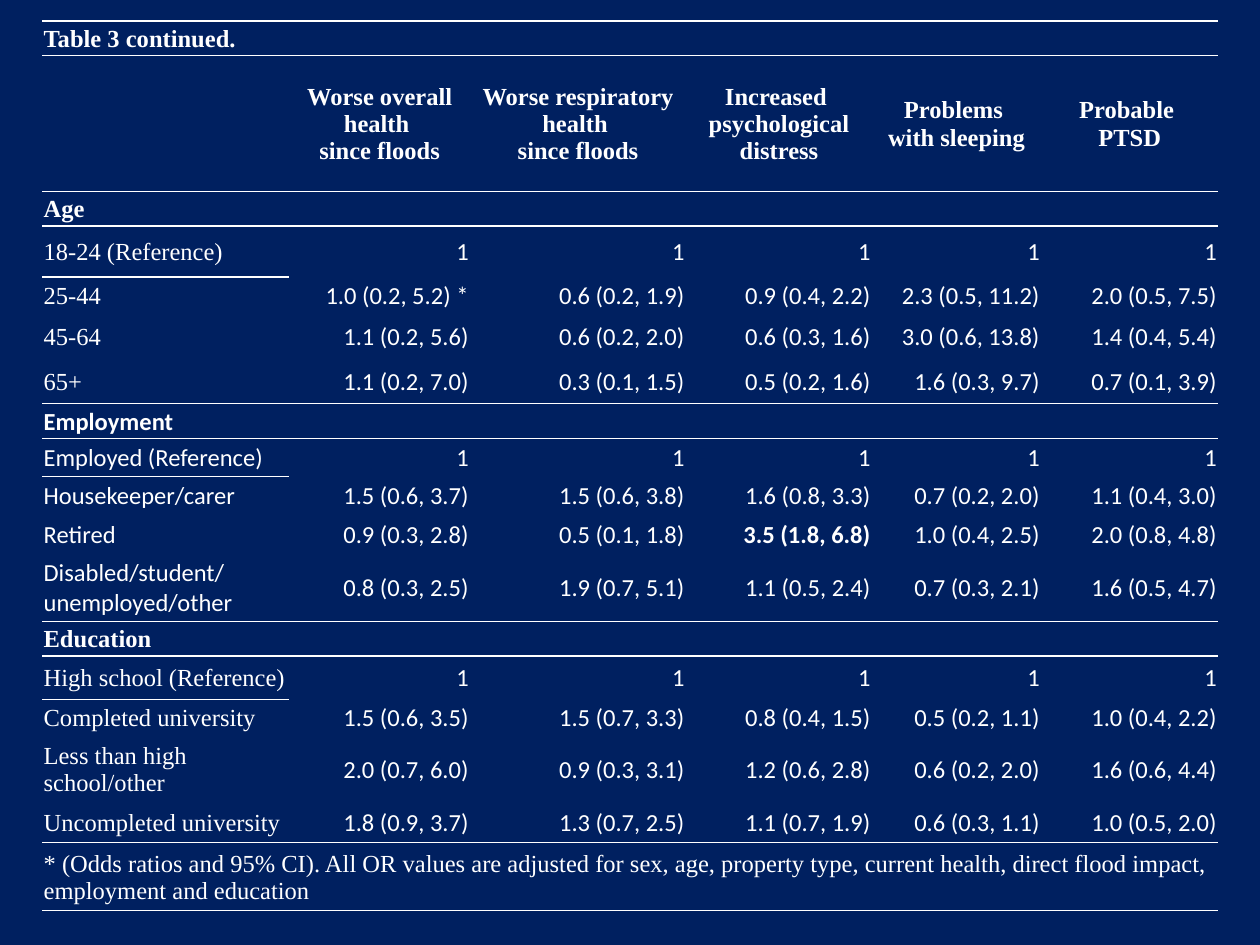
import pptx
import pptx.dml.color
import pptx.enum.text
import pptx.oxml
import pptx.oxml.ns
import pptx.util

Cm = pptx.util.Cm
ALIGN = pptx.enum.text.PP_ALIGN
COLOURS = {"navy": "002060", "white": "FFFFFF"}
SERIF, SANS = "Times New Roman", "Calibri"
NO_STYLE_NO_GRID = "{2D5ABB26-0587-4C30-8999-92F81FD0307C}"

COLUMN_WIDTHS = [4.98, 3.65, 4.35, 3.75, 3.41, 3.57]
ROW_HEIGHTS = [0.7, 2.74, 0.7, 1.03, 0.75, 0.9, 0.9, 0.7, 0.77, 0.76, 0.79, 1.37,
               0.7, 0.87, 0.72, 1.37, 0.8, 1.37]

TITLE = "Table 3 continued."
OUTCOMES = [
    "Worse overall health \nsince floods",
    "Worse respiratory health \nsince floods",
    "Increased \npsychological distress",
    "Problems \nwith sleeping",
    "Probable \nPTSD",
]
REFERENCE = ["1"] * len(OUTCOMES)
SIGNIFICANT = "3.5 (1.8, 6.8)"
FOOTNOTE = ("* (Odds ratios and 95% CI). All OR values are adjusted for sex, age, property type, "
            "current health, direct flood impact, employment and education")

# Factor, font of its labels, then one line of odds ratios per category
FACTORS = [
    ("Age", SERIF, [
        ["18-24 (Reference)"] + REFERENCE,
        ["25-44", "1.0 (0.2, 5.2) *", "0.6 (0.2, 1.9)", "0.9 (0.4, 2.2)", "2.3 (0.5, 11.2)", "2.0 (0.5, 7.5)"],
        ["45-64", "1.1 (0.2, 5.6)", "0.6 (0.2, 2.0)", "0.6 (0.3, 1.6)", "3.0 (0.6, 13.8)", "1.4 (0.4, 5.4)"],
        ["65+", "1.1 (0.2, 7.0)", "0.3 (0.1, 1.5)", "0.5 (0.2, 1.6)", "1.6 (0.3, 9.7)", "0.7 (0.1, 3.9)"],
    ]),
    ("Employment", SANS, [
        ["Employed (Reference)"] + REFERENCE,
        ["Housekeeper/carer", "1.5 (0.6, 3.7)", "1.5 (0.6, 3.8)", "1.6 (0.8, 3.3)", "0.7 (0.2, 2.0)",
         "1.1 (0.4, 3.0)"],
        ["Retired", "0.9 (0.3, 2.8)", "0.5 (0.1, 1.8)", SIGNIFICANT, "1.0 (0.4, 2.5)", "2.0 (0.8, 4.8)"],
        ["Disabled/student/ \nunemployed/other", "0.8 (0.3, 2.5)", "1.9 (0.7, 5.1)", "1.1 (0.5, 2.4)",
         "0.7 (0.3, 2.1)", "1.6 (0.5, 4.7)"],
    ]),
    ("Education", SERIF, [
        ["High school (Reference)"] + REFERENCE,
        ["Completed university", "1.5 (0.6, 3.5)", "1.5 (0.7, 3.3)", "0.8 (0.4, 1.5)", "0.5 (0.2, 1.1)",
         "1.0 (0.4, 2.2)"],
        ["Less than high school/other", "2.0 (0.7, 6.0)", "0.9 (0.3, 3.1)", "1.2 (0.6, 2.8)", "0.6 (0.2, 2.0)",
         "1.6 (0.6, 4.4)"],
        ["Uncompleted university", "1.8 (0.9, 3.7)", "1.3 (0.7, 2.5)", "1.1 (0.7, 1.9)", "0.6 (0.3, 1.1)",
         "1.0 (0.5, 2.0)"],
    ]),
]


class SlideWriter:
    def __init__(self, slide, size=14, rule_width=1, inset=0.03):
        self.slide = slide
        self.size = pptx.util.Pt(size)
        self.rule_width = pptx.util.Pt(rule_width)
        self.inset = Cm(inset)

    def background(self, colour):
        fill = self.slide.background.fill
        fill.solid()
        fill.fore_color.rgb = pptx.dml.color.RGBColor.from_string(COLOURS[colour])

    def table(self, left, top, widths, heights):
        frame = self.slide.shapes.add_table(len(heights), len(widths), Cm(left), Cm(top),
                                            Cm(sum(widths)), Cm(sum(heights)))
        table = frame.table
        table.first_row = table.horz_banding = False
        table._tbl.tblPr.find(pptx.oxml.ns.qn("a:tableStyleId")).text = NO_STYLE_NO_GRID
        for column, width in zip(table.columns, widths):
            column.width = Cm(width)
        for row, height in zip(table.rows, heights):
            row.height = Cm(height)
        return table

    def rule(self, cell, side):
        """Draw one border; side is T or B."""
        cell._tc.get_or_add_tcPr().append(pptx.oxml.parse_xml(
            f'<a:ln{side} {pptx.oxml.ns.nsdecls("a")} w="{self.rule_width}"><a:solidFill>'
            f'<a:srgbClr val="{COLOURS["white"]}"/></a:solidFill></a:ln{side}>'))

    def cell(self, cell, text="", font=SERIF, bold=False, align=ALIGN.LEFT, rules=""):
        for side in rules:
            self.rule(cell, side)
        cell.fill.background()
        cell.vertical_anchor = pptx.enum.text.MSO_ANCHOR.MIDDLE
        cell.margin_left = cell.margin_right = cell.margin_top = self.inset
        cell.margin_bottom = 0
        paragraph = cell.text_frame.paragraphs[0]
        paragraph.text = text
        paragraph.alignment = align
        # Keeps empty cells from forcing their row taller
        paragraph._p.get_or_add_endParaRPr().set("sz", str(int(self.size.pt * 100)))
        for run in paragraph.runs:
            run.font.name = font
            run.font.size = self.size
            run.font.bold = bold
            run.font.color.rgb = pptx.dml.color.RGBColor.from_string(COLOURS["white"])

    def spanning_row(self, table, row, text, bold=False):
        cells = table.rows[row].cells
        table.cell(row, 0).merge(table.cell(row, len(table.columns) - 1))
        for column, cell in enumerate(cells):
            self.cell(cell, "" if column else text, bold=bold, rules="TB")

    def factor(self, table, row, name, font, categories):
        """Fill a factor's heading and category rows; return the next free row."""
        for column, cell in enumerate(table.rows[row].cells):
            self.cell(cell, "" if column else name, font, bold=True, rules="T" if column else "TB")
        for index, category in enumerate(categories):
            row += 1
            closing = "B" if index == len(categories) - 1 else ""
            for column, text in enumerate(category):
                if column:
                    self.cell(table.cell(row, column), text, SANS, text == SIGNIFICANT, ALIGN.RIGHT, closing)
                else:
                    self.cell(table.cell(row, 0), text, font, rules=closing if index else "T")
        return row + 1


def main():
    presentation = pptx.Presentation()
    presentation.slide_width, presentation.slide_height = Cm(25.4), Cm(19.05)
    writer = SlideWriter(presentation.slides.add_slide(presentation.slide_layouts[6]))
    writer.background("navy")

    odds_ratios = writer.table(0.85, 0.42, COLUMN_WIDTHS, ROW_HEIGHTS)
    writer.spanning_row(odds_ratios, 0, TITLE, bold=True)
    for column, outcome in enumerate([""] + OUTCOMES):
        writer.cell(odds_ratios.cell(1, column), outcome, bold=True, align=ALIGN.CENTER, rules="TB")
    row = 2
    for name, font, categories in FACTORS:
        row = writer.factor(odds_ratios, row, name, font, categories)
    writer.spanning_row(odds_ratios, row, FOOTNOTE)

    presentation.save("out.pptx")


if __name__ == "__main__":
    main()
